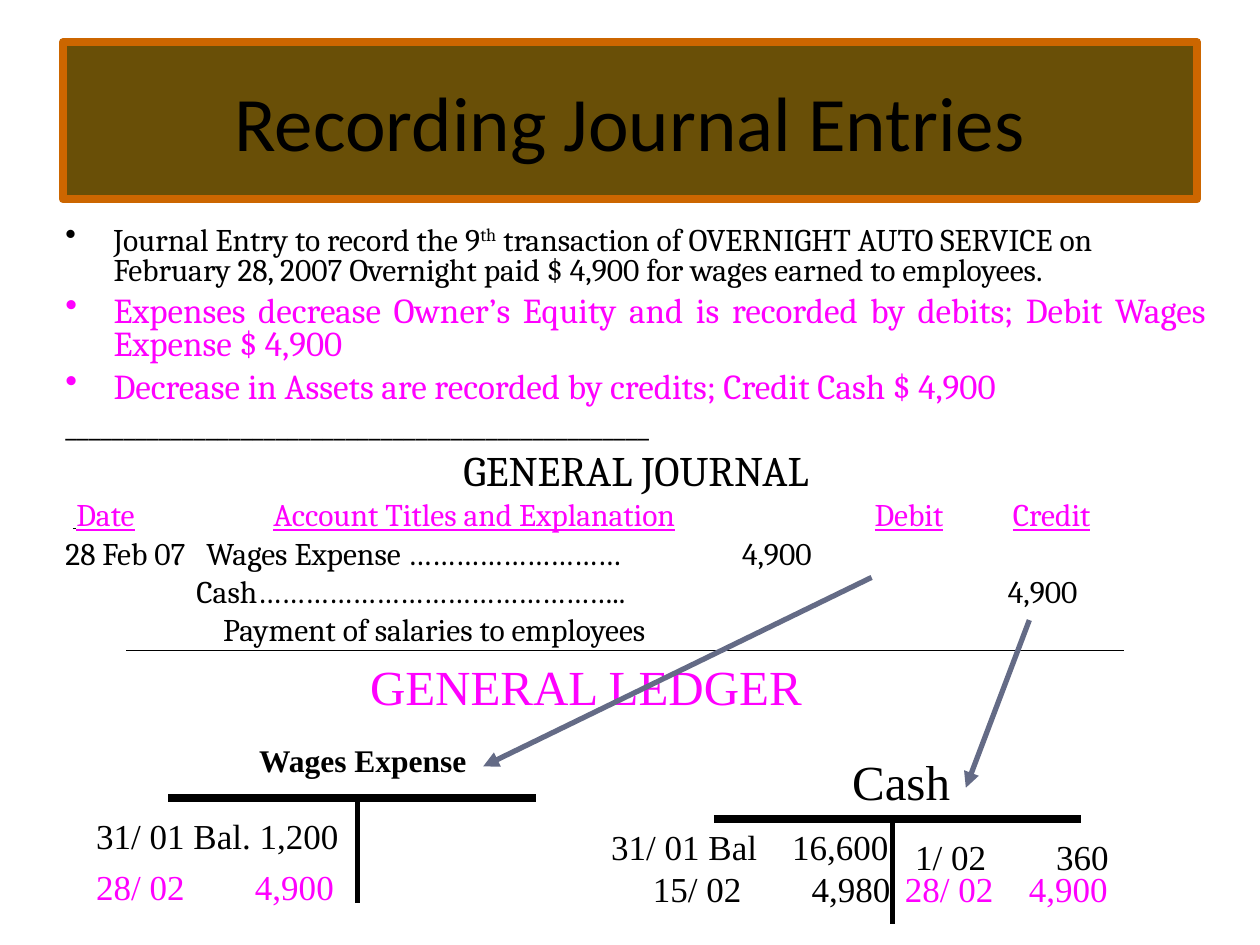
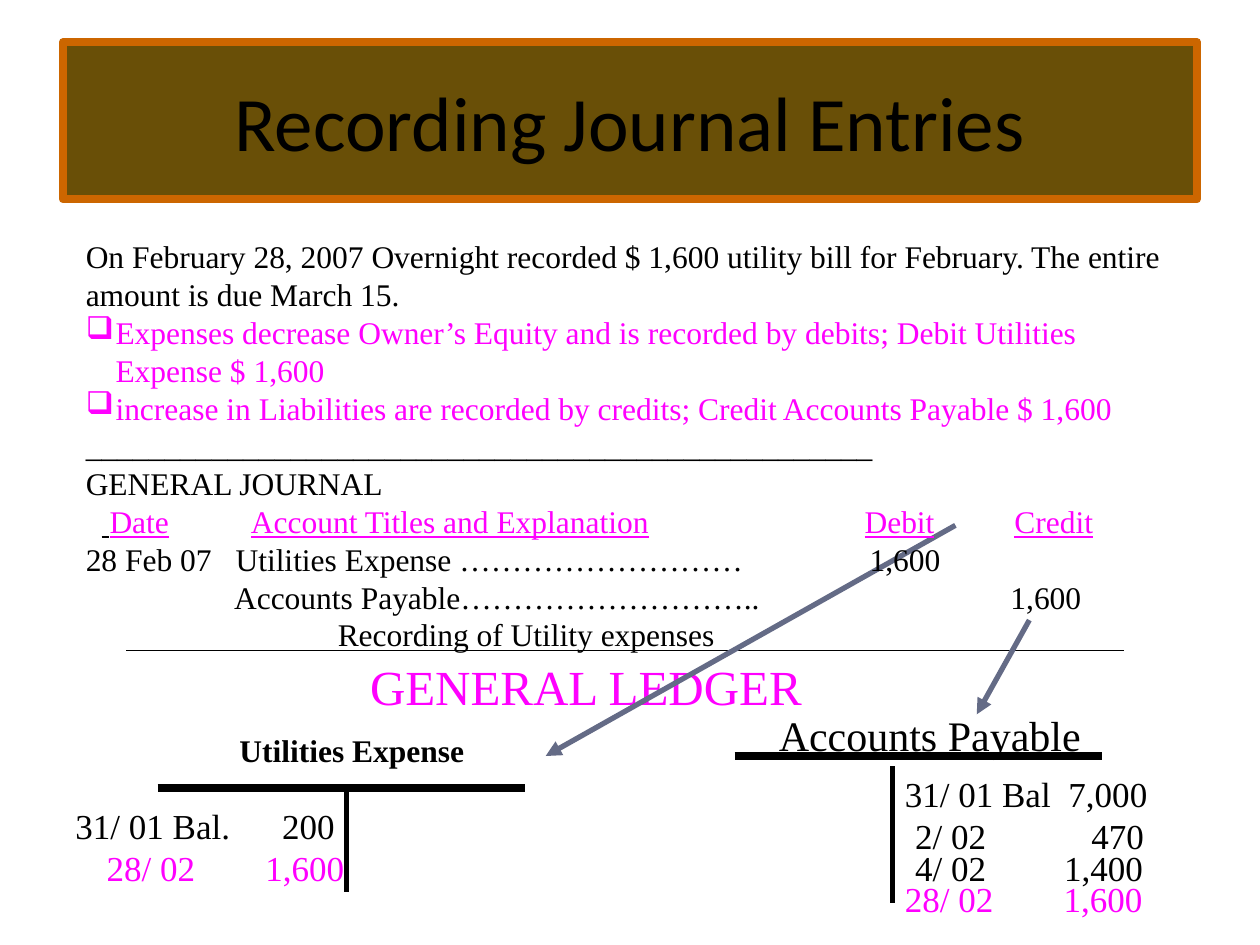
import pptx
import pptx.dml.color
import pptx.enum.shapes
import pptx.enum.text
import pptx.oxml.ns
import pptx.util
from lxml import etree

Cm, Pt = pptx.util.Cm, pptx.util.Pt
RGBColor = pptx.dml.color.RGBColor
ALIGN = pptx.enum.text.PP_ALIGN
qn = pptx.oxml.ns.qn

BLACK = RGBColor(0x00, 0x00, 0x00)
MAGENTA = RGBColor(0xFF, 0x00, 0xFF)
BROWN = RGBColor(0x69, 0x4F, 0x07)
ORANGE = RGBColor(0xCC, 0x66, 0x00)
SLATE = RGBColor(0x64, 0x6B, 0x86)
SERIF = "Times New Roman"

TITLE = "Recording Journal Entries"
RULE = "_" * 50
ENTRY_WIDTH, LINE_HEIGHT = 7, 1.12


def para(*runs, **options):
    """A paragraph: runs are strings or (string, format) pairs."""
    return {"runs": runs, **options}


def header(tabs, lead_size):
    """Underlined journal headings, one at each tab stop."""
    under = {"underline": True, "color": MAGENTA}
    runs = ["\t", (" ", {"underline": True, "size": lead_size}), ("Date", under)]
    for heading in ("Account Titles and Explanation", "Debit", "Credit"):
        runs += ["\t", (heading, under)]
    return para(*runs, tabs=tabs)


# Lengths in cm. Entries are (left, top, text, tab to the amount, colour).
SLIDES = [
    {
        "body": {
            "box": (1.07, 4.45, 23.5, 9.09), "font": "Cambria",
            "line_spacing": 0.8, "before": 4.5, "hang": 0.97,
            "paras": [
                para("Journal Entry to record the 9", ("th", {"superscript": True}),
                     " transaction of OVERNIGHT AUTO SERVICE on February 28, 2007 "
                     "Overnight paid $ 4,900 for wages earned to employees.", bullet="•"),
                para("Expenses decrease Owner’s Equity and is recorded by debits; "
                     "Debit Wages Expense $ 4,900", bullet="•", size=20, before=5,
                     color=MAGENTA, align=ALIGN.JUSTIFY),
                para("Decrease in Assets are recorded by credits; Credit Cash $ 4,900",
                     bullet="•", size=20, before=5, color=MAGENTA, align=ALIGN.JUSTIFY),
                para(RULE),
                para("GENERAL JOURNAL", size=24, before=6, align=ALIGN.CENTER),
                header((0.15, 4.19, 16.31, 19.1), 9),
                para("28 Feb 07\tWages Expense ………………………\t4,900", tabs=(2.84, 13.64)),
                para("\tCash………………………………………..\t4,900", tabs=(2.64, 19)),
                para("\tPayment of salaries to employees", tabs=(3.18,)),
            ],
        },
        "arrows": [(17.57, 11.64, 9.74, 15.45), (20.75, 12.5, 19.47, 15.88)],
        "accounts": [
            {
                "name": "Wages Expense", "box": (3.61, 14.81, 7.41, 1.02),
                "style": {"size": 18, "bold": True, "align": ALIGN.CENTER},
                "bar": (3.39, 16.09), "stem": (7.2, 16.09, 18.2),
                "entries": [
                    (1.69, 16.3, "31/ 01 Bal. 1,200", None, BLACK),
                    (1.69, 17.33, "28/ 02\t4,900", 3.2, MAGENTA),
                ],
            },
            {
                "name": "Cash", "box": (16.93, 15.03, 3.81, 1.44),
                "style": {"size": 28},
                "bar": (14.39, 16.51), "stem": (17.99, 16.51, 18.63),
                "entries": [
                    (12.07, 16.51, "31/ 01 Bal\t16,600", 3.65, BLACK),
                    (12.91, 17.36, "15/ 02\t4,980", 3.2, BLACK),
                    (18.2, 16.72, "1/ 02\t360", 2.84, BLACK),
                    (17.99, 17.36, "28/ 02\t4,900", 2.5, MAGENTA),
                ],
            },
        ],
    },
    {
        "body": {
            "box": (1.48, 4.66, 22.65, 8.64), "font": SERIF,
            "line_spacing": 1.0, "before": 0, "hang": 0.6,
            "paras": [
                para("On February 28, 2007 Overnight recorded $ 1,600 utility bill for "
                     "February. The entire amount is due March 15."),
                para("Expenses decrease Owner’s Equity and is recorded by debits; "
                     "Debit Utilities Expense $ 1,600", bullet="❑", color=MAGENTA),
                para("increase in Liabilities are recorded by credits; "
                     "Credit Accounts Payable $ 1,600", bullet="❑", color=MAGENTA),
                para(RULE),
                para("GENERAL JOURNAL"),
                header((0.32, 3.33, 15.7, 18.72), 18),
                para("28 Feb 07\tUtilities Expense ………………………\t1,600", tabs=(3.02, 15.8)),
                para("\tAccounts Payable………………………..\t1,600", tabs=(2.99, 18.64)),
                para("\tRecording of Utility expenses", tabs=(5.08,)),
            ],
        },
        "arrows": [(19.26, 10.59, 11, 15.24), (20.75, 12.5, 19.69, 14.4)],
        "accounts": [
            {
                "name": "Utilities Expense", "box": (3.39, 14.61, 7.41, 1.02),
                "style": {"size": 18, "bold": True, "align": ALIGN.CENTER},
                "bar": (3.18, 15.88), "stem": (6.99, 15.88, 17.99),
                "entries": [
                    (1.27, 16.09, "31/ 01 Bal.\t200", 4.17, BLACK),
                    (1.9, 16.93, "28/ 02\t1,600", 3.2, MAGENTA),
                ],
            },
            {
                "name": "Accounts Payable", "box": (15.45, 14.18, 6.77, 1.27),
                "style": {"size": 24},
                "bar": (14.81, 15.24), "stem": (17.99, 15.45, 18.2),
                "entries": [
                    (17.99, 15.45, "31/ 01 Bal\t7,000", 3.3, BLACK),
                    (18.2, 16.3, "2/ 02\t470", 3.55, BLACK),
                    (18.2, 16.93, "4/ 02\t1,400", 3, BLACK),
                    (17.99, 17.57, "28/ 02\t1,600", 3.2, MAGENTA),
                ],
            },
        ],
    },
]


def add_bullet(p, char, color, hang):
    pPr = p._p.get_or_add_pPr()
    pPr.set("marL", str(Cm(hang)))
    pPr.set("indent", str(-Cm(hang)))
    bu_color = etree.SubElement(pPr, qn("a:buClr"))
    etree.SubElement(bu_color, qn("a:srgbClr"), val=str(color))
    etree.SubElement(pPr, qn("a:buChar"), char=char)


def add_tabs(p, stops):
    tabs = etree.SubElement(p._p.get_or_add_pPr(), qn("a:tabLst"))
    for stop in stops:
        etree.SubElement(tabs, qn("a:tab"), pos=str(Cm(stop)), algn="l")


def add_run(p, text, fmt):
    r = p.add_run()
    r.text = text
    r.font.color.rgb = fmt["color"]
    r.font.size = Pt(fmt["size"])
    for key in ("name", "bold", "underline"):
        setattr(r.font, key, fmt.get(key))
    if fmt.get("superscript"):
        r._r.get_or_add_rPr().set("baseline", "30000")


def fill_frame(tf, paras, **defaults):
    tf.word_wrap = True
    for i, item in enumerate(paras):
        p = tf.paragraphs[0] if i == 0 else tf.add_paragraph()
        fmt = {"size": 18, "color": BLACK, "name": SERIF, "align": ALIGN.LEFT,
               "before": 0, "line_spacing": 1.0, **defaults, **item}
        if "bullet" in fmt:
            add_bullet(p, fmt["bullet"], fmt["color"], fmt["hang"])
        if "tabs" in fmt:
            add_tabs(p, fmt["tabs"])
        p.alignment = fmt["align"]
        p.line_spacing = fmt["line_spacing"]
        p.space_before = Pt(fmt["before"] if i else 0)
        for run in item["runs"]:
            text, extra = (run, {}) if isinstance(run, str) else run
            add_run(p, text, {**fmt, **extra})


def add_text(s, box, paras, **defaults):
    sp = s.shapes.add_textbox(*map(Cm, box))
    fill_frame(sp.text_frame, paras, **defaults)


def add_line(s, points, color, width, arrow=False):
    straight = pptx.enum.shapes.MSO_CONNECTOR.STRAIGHT
    line = s.shapes.add_connector(straight, *map(Cm, points))
    line.line.color.rgb = color
    line.line.width = Pt(width)
    if arrow:
        etree.SubElement(line.line._get_or_add_ln(), qn("a:tailEnd"), type="triangle")
    etree.SubElement(line._element.spPr, qn("a:effectLst"))


def add_title(s):
    rect = pptx.enum.shapes.MSO_SHAPE.RECTANGLE
    sp = s.shapes.add_shape(rect, *map(Cm, (1.27, 0.85, 22.86, 3.17)))
    sp.shadow.inherit = False
    sp.fill.solid()
    sp.fill.fore_color.rgb = BROWN
    sp.line.color.rgb = ORANGE
    sp.line.width = Pt(4.5)
    sp.text_frame.vertical_anchor = pptx.enum.text.MSO_ANCHOR.MIDDLE
    fill_frame(sp.text_frame, [para(TITLE)], size=44, name="Calibri", align=ALIGN.CENTER)


def add_account(s, account):
    """A T-account: name, bar, stem and dated entries."""
    left, top = account["bar"]
    x, stem_top, stem_bottom = account["stem"]
    add_line(s, (left, top, left + 7.41, top), BLACK, 4.5)
    add_line(s, (x, stem_top, x, stem_bottom), BLACK, 3)
    add_text(s, account["box"], [para(account["name"])], **account["style"])
    for left, top, text, tab, color in account["entries"]:
        tabs = {"tabs": (tab,)} if tab else {}
        add_text(s, (left, top, ENTRY_WIDTH, LINE_HEIGHT), [para(text, **tabs)],
                 size=20, color=color)


def main():
    prs = pptx.Presentation()
    prs.slide_width, prs.slide_height = Cm(25.4), Cm(19.05)
    for content in SLIDES:
        s = prs.slides.add_slide(prs.slide_layouts[6])
        add_title(s)
        add_text(s, (7.21, 13.12, 10, 1.44), [para("GENERAL LEDGER")],
                 size=28, color=MAGENTA)
        add_line(s, (2.54, 13.12, 22.65, 13.12), BLACK, 0.75)
        for points in content["arrows"]:
            add_line(s, points, SLATE, 3, arrow=True)
        body = content["body"]
        add_text(s, body["box"], body["paras"], name=body["font"], hang=body["hang"],
                 line_spacing=body["line_spacing"], before=body["before"])
        for account in content["accounts"]:
            add_account(s, account)
    prs.save("out.pptx")


if __name__ == "__main__":
    main()
